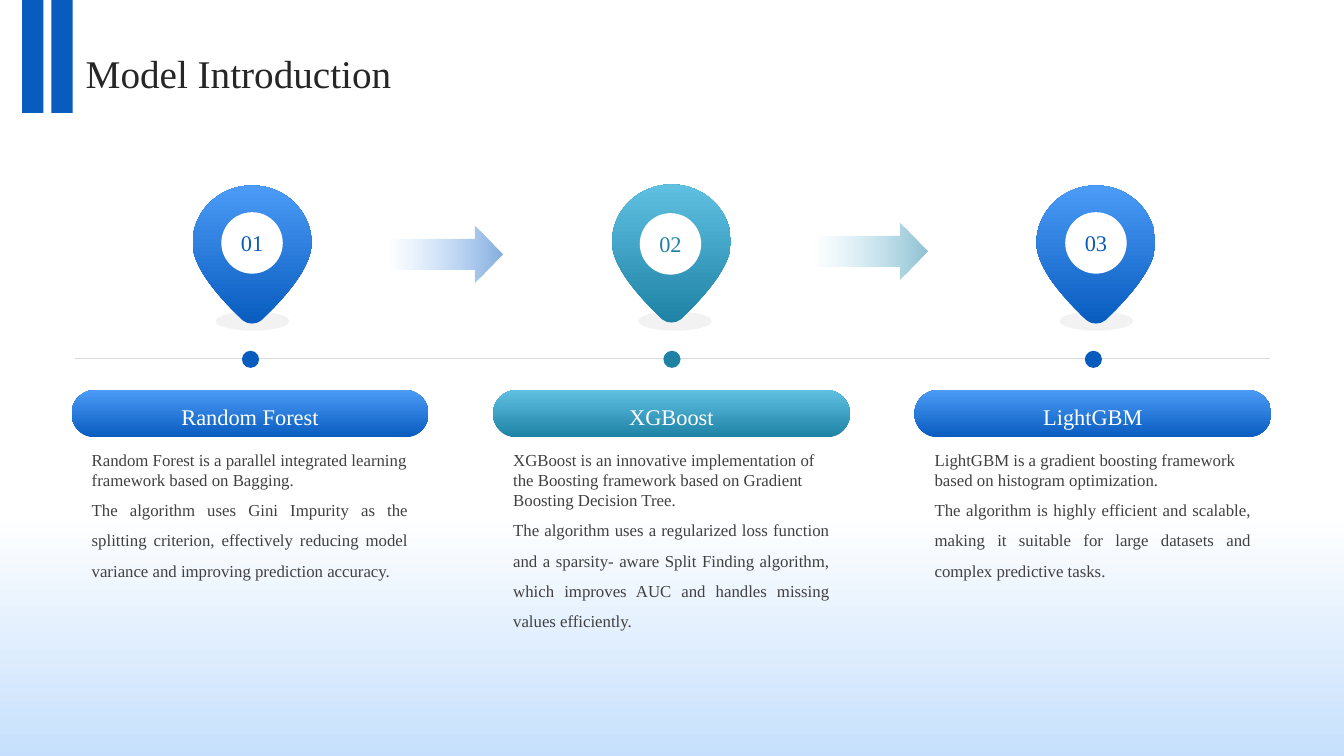
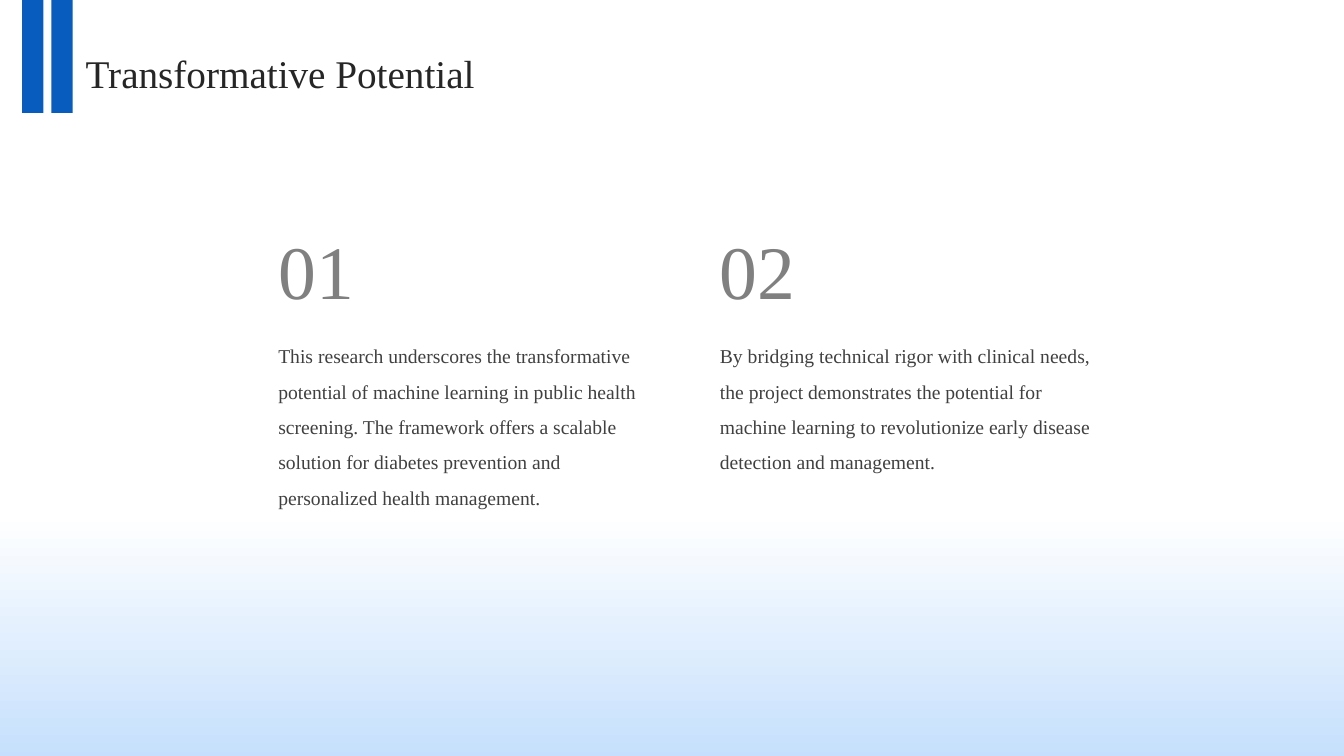
from lxml import etree
from pptx import Presentation
from pptx.dml.color import RGBColor
from pptx.enum.shapes import MSO_CONNECTOR as CONN, MSO_SHAPE as SHAPE
from pptx.enum.text import MSO_ANCHOR as ANCHOR, MSO_AUTO_SIZE as AUTO, PP_ALIGN as ALIGN
from pptx.oxml.ns import qn
from pptx.util import Inches, Pt

FONT = "Times New Roman"
WHITE = RGBColor(0xFF, 0xFF, 0xFF)
SKY = RGBColor(0xC3, 0xDE, 0xFC)
BLUE = RGBColor(0x08, 0x5C, 0xBE)
LIGHT_BLUE = RGBColor(0x4B, 0x9B, 0xF7)
TEAL = RGBColor(0x1E, 0x82, 0xA4)
LIGHT_TEAL = RGBColor(0x5F, 0xC0, 0xE2)
TITLE_INK = RGBColor(0x26, 0x26, 0x26)
BODY_INK = RGBColor(0x40, 0x40, 0x40)
NUMBER_GREY = RGBColor(0x80, 0x80, 0x80)
RULE_GREY = RGBColor(0xD9, 0xD9, 0xD9)
SHADE_GREY = RGBColor(0xF2, 0xF2, 0xF2)


def write(sp, text, size=12, color=BODY_INK, align=ALIGN.LEFT, spacing=1.0, anchor=ANCHOR.TOP):
    """Add one paragraph to a shape, without insets or bullet."""
    tf = sp.text_frame
    tf.word_wrap = True
    tf.auto_size = AUTO.NONE
    tf.vertical_anchor = anchor
    tf.margin_left = tf.margin_right = tf.margin_top = tf.margin_bottom = 0
    p = tf.add_paragraph() if tf.text else tf.paragraphs[0]
    pPr = p._p.get_or_add_pPr()
    pPr.set("marL", "0")
    pPr.set("indent", "0")
    etree.SubElement(pPr, qn("a:buNone"))
    p.alignment = align
    p.line_spacing = spacing
    p.space_before = Pt(0)
    r = p.add_run()
    r.text = text
    r.font.name = FONT
    r.font.size = Pt(size)
    r.font.color.rgb = color


def paint(sp, color, light=None, angle=90, end=1):
    """Plain fill, or a gradient from color to light; no outline or shadow."""
    sp.shadow.inherit = False
    sp.line.fill.background()
    if light is None:
        sp.fill.solid()
        sp.fill.fore_color.rgb = color
        return
    sp.fill.gradient()
    sp.fill.gradient_angle = angle
    for stop, rgb, position in zip(sp.fill.gradient_stops, (color, light), (0, end)):
        stop.color.rgb = rgb
        stop.position = position


prs = Presentation()
prs.slide_width, prs.slide_height = Inches(13.33), Inches(7.5)

# Shared backdrop, title and corner bars
TITLE_ONLY, TWO_CONTENT = 5, 3
for layout, title in ((TITLE_ONLY, "Model Introduction"),
                      (TWO_CONTENT, "Transformative Potential")):
    s = prs.slides.add_slide(prs.slide_layouts[layout])
    backdrop = s.shapes.add_shape(SHAPE.RECTANGLE, Inches(-0.01), Inches(-0.04),
                                  Inches(13.42), Inches(7.67))
    paint(backdrop, SKY, WHITE, end=0.33)
    s.shapes.element.insert(2, backdrop.element)  # behind the placeholders
    sp = s.shapes.title
    sp.left, sp.top, sp.width, sp.height = Inches(0.85), Inches(0.44), Inches(11.67), Inches(0.51)
    write(sp, title, size=28, color=TITLE_INK, spacing=1.1, anchor=ANCHOR.MIDDLE)
    for x in (0.51, 0.22):
        bar = s.shapes.add_shape(SHAPE.RECTANGLE, Inches(x), 0, Inches(0.21), Inches(1.12))
        paint(bar, BLUE)

# Slide 1: three models along a timeline
s = prs.slides[0]
rule = s.shapes.add_connector(CONN.STRAIGHT, Inches(0.74), Inches(3.56), Inches(12.6), Inches(3.56))
rule.line.color.rgb = RULE_GREY
rule.line.width = Pt(0.5)
etree.SubElement(rule.element.spPr, qn("a:effectLst"))

# Pin outline around its top centre: a start point, then three points per Bezier curve
pin_right = [(0.09, 1.34), (0.42, 1.02), (0.59, 0.77), (0.59, 0.57), (0.59, 0.26), (0.33, 0)]
pin_left = [(-x, y) for x, y in reversed(pin_right)]
pin_tip = [(-0.04, 1.38), (0.04, 1.38), pin_right[0]]
outline = pin_right + [(0, 0)] + pin_left + pin_tip

# name, colours, pin centre and top, disc centre, shadow centre, description
models = [
    ("Random Forest", BLUE, LIGHT_BLUE, (2.5, 1.84), (2.5, 2.41), 2.5,
     "Random Forest is a parallel integrated learning framework based on Bagging.",
     "The algorithm uses Gini Impurity as the splitting criterion, effectively reducing "
     "model variance and improving prediction accuracy."),
    ("XGBoost", TEAL, LIGHT_TEAL, (6.66, 1.83), (6.65, 2.42), 6.69,
     "XGBoost is an innovative implementation of the Boosting framework based on "
     "Gradient Boosting Decision Tree.",
     "The algorithm uses a regularized loss function and a sparsity- aware Split Finding "
     "algorithm, which improves AUC and handles missing values efficiently."),
    ("LightGBM", BLUE, LIGHT_BLUE, (10.87, 1.84), (10.87, 2.41), 10.87,
     "LightGBM is a gradient boosting framework based on histogram optimization.",
     "The algorithm is highly efficient and scalable, making it suitable for large "
     "datasets and complex predictive tasks."),
]
COLUMN_STEP, PILL_W, DISC = 4.18, 3.54, 0.61
for i, (name, color, light, pin_at, disc_at, shade_x, summary, detail) in enumerate(models):
    left = 0.71 + i * COLUMN_STEP

    # Ground shadow
    shade = s.shapes.add_shape(SHAPE.OVAL, Inches(shade_x - 0.36), Inches(3.09),
                               Inches(0.73), Inches(0.19))
    paint(shade, SHADE_GREY)

    # Pin, its line segments joined by threes into curves
    points = [(Inches(pin_at[0] + x), Inches(pin_at[1] + y)) for x, y in outline]
    builder = s.shapes.build_freeform(*points[0])
    builder.add_line_segments(points[1:], close=True)
    pin = builder.convert_to_shape()
    segments = list(pin.element.iter(qn("a:lnTo")))
    for start in range(0, len(segments), 3):
        curve = etree.Element(qn("a:cubicBezTo"))
        segments[start].addprevious(curve)
        for segment in segments[start:start + 3]:
            curve.append(segment[0])
            segment.getparent().remove(segment)
    paint(pin, color, light)

    # Numbered disc
    disc = s.shapes.add_shape(SHAPE.OVAL, Inches(disc_at[0] - DISC / 2),
                              Inches(disc_at[1] - DISC / 2), Inches(DISC), Inches(DISC))
    paint(disc, WHITE)
    write(disc, f"{i + 1:02}", size=16, color=color, align=ALIGN.CENTER, anchor=ANCHOR.MIDDLE)

    # Timeline dot
    dot = s.shapes.add_shape(SHAPE.OVAL, Inches(left + PILL_W / 2 - 0.08), Inches(3.48),
                             Inches(0.17), Inches(0.17))
    paint(dot, color)

    # Name pill and description
    pill = s.shapes.add_shape(SHAPE.ROUNDED_RECTANGLE, Inches(left), Inches(3.87),
                              Inches(PILL_W), Inches(0.47))
    pill.adjustments[0] = 0.5
    paint(pill, color, light)
    write(pill, name, size=16, color=WHITE, align=ALIGN.CENTER, spacing=1.2, anchor=ANCHOR.MIDDLE)
    box = s.shapes.add_textbox(Inches(left + 0.2), Inches(4.46), Inches(3.14), Inches(1.69))
    write(box, summary)
    write(box, detail, align=ALIGN.JUSTIFY, spacing=1.5)

# Fading arrows between the pins
for x, y, color, light in ((3.85, 2.24, BLUE, LIGHT_BLUE), (8.07, 2.21, TEAL, LIGHT_TEAL)):
    arrow = s.shapes.add_shape(SHAPE.RIGHT_ARROW, Inches(x), Inches(y), Inches(1.13), Inches(0.56))
    arrow.adjustments[0], arrow.adjustments[1] = 0.54, 0.5
    paint(arrow, color, light, angle=180)
    for clr, alpha in zip(arrow.element.spPr.iter(qn("a:srgbClr")), ("50000", "0")):
        etree.SubElement(clr, qn("a:alpha")).set("val", alpha)

# Slide 2: two numbered statements
s = prs.slides[1]
statements = [
    "This research underscores the transformative potential of machine learning in public "
    "health screening. The framework offers a scalable solution for diabetes prevention and "
    "personalized health management.",
    "By bridging technical rigor with clinical needs, the project demonstrates the potential "
    "for machine learning to revolutionize early disease detection and management.",
]
for i, statement in enumerate(statements):
    left = Inches(2.76 + i * 4.38)
    number = s.shapes.add_textbox(left, Inches(2.22), Inches(1.53), Inches(0.75))
    write(number, f"{i + 1:02}", size=54, color=NUMBER_GREY)
    body = s.placeholders[i + 1]
    body.left, body.top, body.width, body.height = left, Inches(3.3), Inches(3.83), Inches(2.38)
    write(body, statement, size=14, spacing=1.5)

prs.save("out.pptx")
